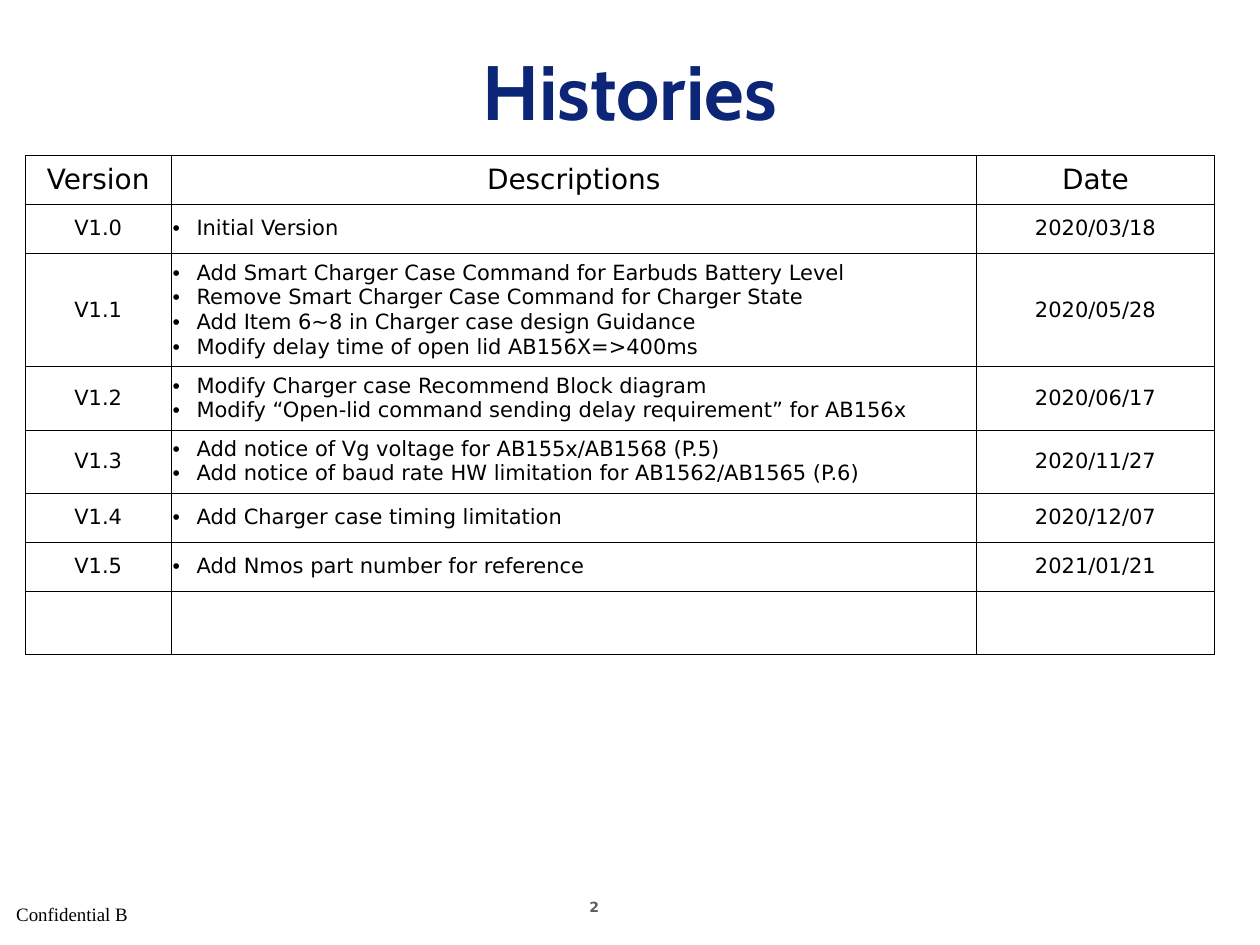
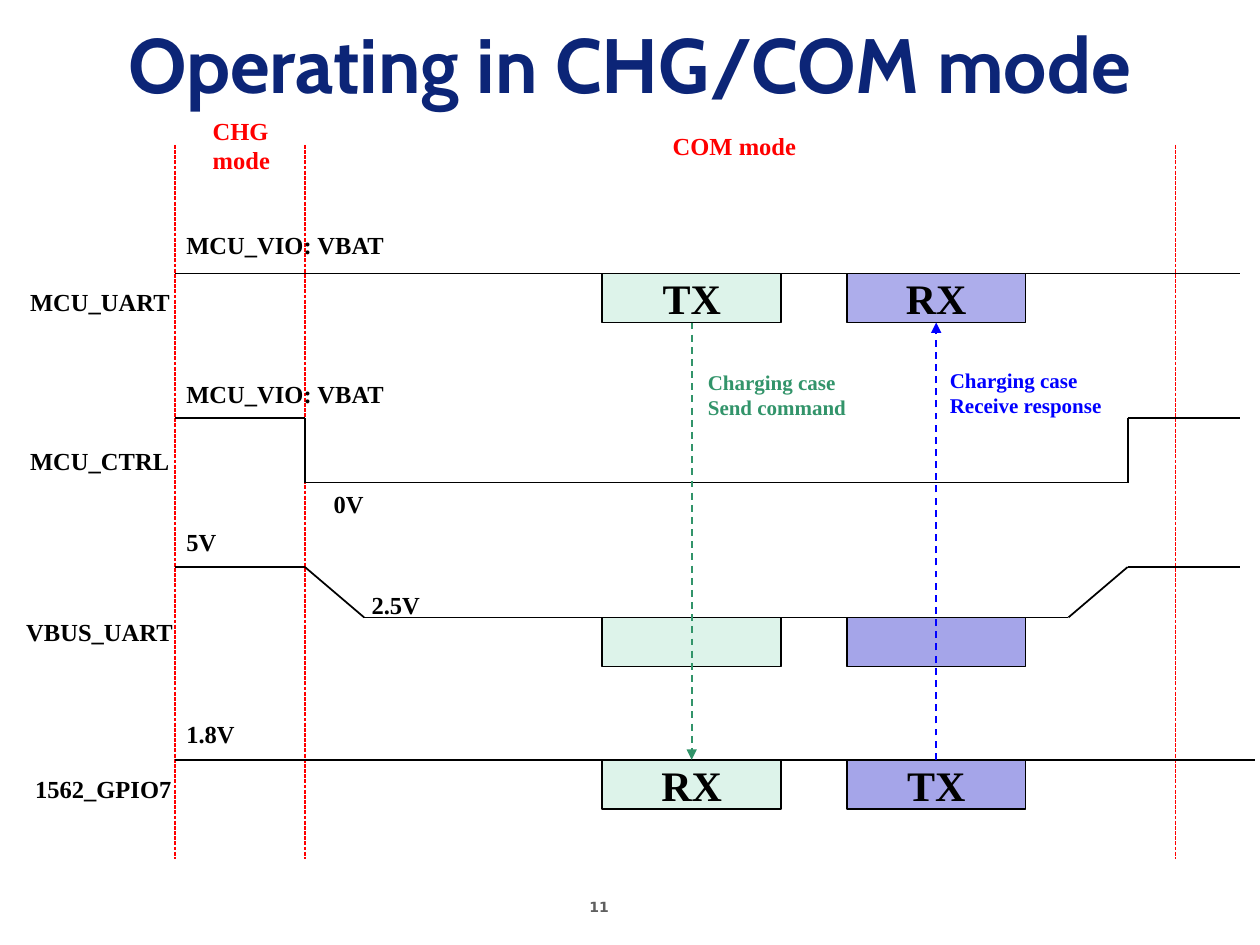
from dataclasses import dataclass
from itertools import pairwise

from lxml.etree import SubElement
from pptx import Presentation
from pptx.dml.color import RGBColor
from pptx.enum.dml import MSO_LINE
from pptx.enum.shapes import MSO_CONNECTOR as CONNECTOR, MSO_SHAPE as SHAPE
from pptx.enum.text import MSO_ANCHOR as ANCHOR, MSO_AUTO_SIZE as AUTO_SIZE, PP_ALIGN as ALIGN
from pptx.oxml.ns import qn
from pptx.util import Inches, Pt


@dataclass(frozen=True)
class Theme:
    # Fonts
    title_font: str = "Cabin"
    table_font: str = "DejaVu Sans"
    diagram_font: str = "Times New Roman"
    # Colours
    navy: str = "0C2577"
    black: str = "000000"
    gray: str = "5F5F5F"
    red: str = "FF0000"
    green: str = "32946A"
    blue: str = "0000FF"
    mint: str = "DDF3EA"
    lilac: str = "A5A5E9"
    pale_lilac: str = "ADADEB"
    # Type sizes
    title_size: float = 44
    signal_size: float = 24
    header_size: float = 16
    label_size: float = 14
    body_size: float = 12
    footer_size: float = 10.8
    number_size: float = 8
    # Line widths
    trace_width: float = 1
    mode_width: float = 0.75
    border_width: float = 0.23


class Deck:
    """Holds the style and the current slide."""

    def __init__(self, theme):
        self.theme = theme
        self.presentation = Presentation()
        self.presentation.slide_width = Inches(10)
        self.presentation.slide_height = Inches(7.5)
        self.slide = None

    def start_slide(self, heading, top, number):
        """Add a slide with its title and page number."""
        theme = self.theme
        self.slide = self.presentation.slides.add_slide(self.presentation.slide_layouts[5])
        title = self.slide.shapes.title
        title.left, title.top, title.width, title.height = map(Inches, (0, top, 10, 1))
        frame = title.text_frame
        frame.word_wrap = True
        frame.auto_size = AUTO_SIZE.NONE
        frame.vertical_anchor = ANCHOR.MIDDLE
        self.set_text(frame, heading, theme.title_size, theme.navy, theme.title_font,
                      bold=True, align=ALIGN.CENTER)
        self.label(number, 4.58, 7.08, 0.77, 0.26, theme.number_size, theme.gray,
                   font=theme.table_font)

    def set_text(self, frame, text, size, color, font, bold=False, align=ALIGN.LEFT,
                 bulleted=False):
        frame.text = text
        for paragraph in frame.paragraphs:
            paragraph.alignment = align
            if bulleted:
                self.bullet(paragraph)
            for run in paragraph.runs:
                run.font.name = font
                run.font.size = Pt(size)
                run.font.bold = bold
                run.font.color.rgb = RGBColor.from_string(color)

    def bullet(self, paragraph):
        properties = paragraph._p.get_or_add_pPr()
        properties.set("marL", str(Inches(0.19)))
        properties.set("indent", str(Inches(-0.19)))
        bullet_color = SubElement(properties, qn("a:buClr"))
        SubElement(bullet_color, qn("a:srgbClr"), val=self.theme.black)
        SubElement(properties, qn("a:buFont"), typeface="Arial")
        SubElement(properties, qn("a:buChar"), char="•")

    def label(self, text, left, top, width, height=0.34, size=None, color=None,
              font=None, bold=True):
        theme = self.theme
        box = self.slide.shapes.add_textbox(*map(Inches, (left, top, width, height)))
        box.text_frame.word_wrap = True
        self.set_text(box.text_frame, text, size or theme.label_size, color or theme.black,
                      font or theme.diagram_font, bold)
        return box

    def signal_box(self, text, left, top, fill):
        theme = self.theme
        box = self.slide.shapes.add_shape(
            SHAPE.RECTANGLE, *map(Inches, (left, top, 1.42, 0.39)))
        box.shadow.inherit = False
        box.fill.solid()
        box.fill.fore_color.rgb = RGBColor.from_string(fill)
        box.line.color.rgb = RGBColor.from_string(theme.black)
        box.line.width = Pt(theme.trace_width)
        box.text_frame.vertical_anchor = ANCHOR.MIDDLE
        if text:
            self.set_text(box.text_frame, text, theme.signal_size, theme.black,
                          theme.diagram_font, bold=True, align=ALIGN.CENTER)
        return box

    def line(self, start, end, color, width, dash=None):
        connector = self.slide.shapes.add_connector(
            CONNECTOR.STRAIGHT, *map(Inches, (*start, *end)))
        connector.line.color.rgb = RGBColor.from_string(color)
        connector.line.width = Pt(width)
        if dash:
            connector.line.dash_style = dash
        SubElement(connector._element.spPr, qn("a:effectLst"))
        return connector

    def trace(self, *points):
        for start, end in pairwise(points):
            self.line(start, end, self.theme.black, self.theme.trace_width)

    def arrow(self, source, source_side, target, target_side, color):
        """Dashed arrow glued to two boxes."""
        connector = self.line((0, 0), (1, 1), color, self.theme.trace_width, MSO_LINE.DASH)
        connector.begin_connect(source, source_side)
        connector.end_connect(target, target_side)
        SubElement(connector.line._get_or_add_ln(), qn("a:tailEnd"), type="triangle")

    def border(self, cell):
        properties = cell._tc.get_or_add_tcPr()
        for side in ("lnL", "lnR", "lnT", "lnB"):
            edge = SubElement(properties, qn(f"a:{side}"), w=str(Pt(self.theme.border_width)))
            fill = SubElement(edge, qn("a:solidFill"))
            SubElement(fill, qn("a:srgbClr"), val=self.theme.black)

    def table(self, rows, left, top, widths, heights):
        theme = self.theme
        frame = self.slide.shapes.add_table(
            len(rows), len(widths), *map(Inches, (left, top, sum(widths), sum(heights))))
        table = frame.table
        table.first_row = table.horz_banding = False
        for column, width in zip(table.columns, widths):
            column.width = Inches(width)
        for row, height in zip(table.rows, heights):
            row.height = Inches(height)
        for r, texts in enumerate(rows):
            for c, text in enumerate(texts):
                cell = table.cell(r, c)
                self.border(cell)
                cell.fill.background()
                cell.vertical_anchor = ANCHOR.MIDDLE
                cell.margin_left = cell.margin_right = Inches(0.01)
                bulleted = r > 0 and c == 1 and bool(text)
                self.set_text(cell.text_frame, text,
                              theme.body_size if r else theme.header_size,
                              theme.black, theme.table_font,
                              align=ALIGN.LEFT if bulleted else ALIGN.CENTER,
                              bulleted=bulleted)


HISTORY = [
    ("Version", "Descriptions", "Date"),
    ("V1.0", "Initial Version", "2020/03/18"),
    ("V1.1",
     "Add Smart Charger Case Command for Earbuds Battery Level\n"
     "Remove Smart Charger Case Command for Charger State\n"
     "Add Item 6~8 in Charger case design Guidance\n"
     "Modify delay time of open lid AB156X=>400ms", "2020/05/28"),
    ("V1.2",
     "Modify Charger case Recommend Block diagram\n"
     "Modify “Open-lid command sending delay requirement” for AB156x", "2020/06/17"),
    ("V1.3",
     "Add notice of Vg voltage for AB155x/AB1568 (P.5)\n"
     "Add notice of baud rate HW limitation for AB1562/AB1565 (P.6)", "2020/11/27"),
    ("V1.4", "Add Charger case timing limitation", "2020/12/07"),
    ("V1.5", "Add Nmos part number for reference", "2021/01/21"),
    ("", "", ""),
]


def build_histories(deck):
    theme = deck.theme
    deck.start_slide("Histories", 0.21, "2")
    confidential = deck.label("Confidential B", 0.03, 7.15, 3.32, 0.3,
                              theme.footer_size, bold=False)
    confidential.text_frame.paragraphs[0].line_spacing = 0.8
    deck.table(HISTORY, 0.2, 1.23, (1.16, 6.39, 1.89),
               (0.39, 0.39, 0.9, 0.5, 0.5, 0.39, 0.39, 0.5))


def build_modes(deck):
    theme = deck.theme
    deck.start_slide("Operating in CHG/COM mode", 0, "11")

    # Time marks and signal levels
    chg_start, com_start, com_end, right = 1.39, 2.42, 8.95, 9.84
    uart, ctrl_high, ctrl_low = 2.17, 3.32, 3.83
    vbus_high, vbus_low, gpio = 4.5, 4.9, 6.03
    case_sends, case_receives, box_width, ramp = 4.78, 6.72, 1.42, 0.47

    # Mode boundaries
    for x in (chg_start, com_start, 9.33):
        deck.line((x, 1.15), (x, 6.82), theme.red, theme.mode_width, MSO_LINE.SQUARE_DOT)

    # Waveforms
    deck.trace((chg_start, uart), (right, uart))
    deck.trace((chg_start, ctrl_high), (com_start, ctrl_high), (com_start, ctrl_low),
               (com_end, ctrl_low), (com_end, ctrl_high), (right, ctrl_high))
    deck.trace((chg_start, vbus_high), (com_start, vbus_high), (com_start + ramp, vbus_low),
               (com_end - ramp, vbus_low), (com_end, vbus_high), (right, vbus_high))
    deck.trace((chg_start, gpio), (case_sends, gpio))
    deck.trace((case_sends + box_width, gpio), (9.96, gpio))

    # Data bursts
    case_tx = deck.signal_box("TX", case_sends, uart, theme.mint)
    case_rx = deck.signal_box("RX", case_receives, uart, theme.pale_lilac)
    deck.signal_box("", case_sends, vbus_low, theme.mint)
    deck.signal_box("", case_receives, vbus_low, theme.lilac)
    earbud_rx = deck.signal_box("RX", case_sends, gpio, theme.mint)
    earbud_tx = deck.signal_box("TX", case_receives, gpio, theme.lilac)

    # Signal names and voltages
    for text, left, top, width in (
        ("MCU_UART", 0.14, 2.23, 1.35),
        ("MCU_CTRL", 0.14, 3.49, 1.35),
        ("VBUS_UART", 0.11, 4.85, 1.42),
        ("1562_GPIO7", 0.18, 6.09, 1.32),
        ("MCU_VIO: VBAT", 1.38, 1.78, 1.82),
        ("MCU_VIO: VBAT", 1.38, 2.96, 1.82),
        ("0V", 2.55, 3.83, 0.48),
        ("5V", 1.38, 4.13, 0.48),
        ("2.5V", 2.85, 4.63, 0.62),
        ("1.8V", 1.38, 5.66, 0.62),
    ):
        deck.label(text, left, top, width)

    # Mode names
    deck.label("COM mode", 5.24, 0.99, 1.22, color=theme.red)
    deck.label("CHG\nmode", 1.59, 0.87, 0.73, 0.57, color=theme.red)

    # Command and response
    deck.arrow(case_tx, 2, earbud_rx, 0, theme.green)
    deck.arrow(earbud_tx, 0, case_rx, 2, theme.blue)
    deck.label("Charging case\nSend command", 5.52, 2.88, 1.33, 0.5,
               theme.body_size, theme.green)
    deck.label("Charging case\nReceive response", 7.44, 2.87, 1.45, 0.5,
               theme.body_size, theme.blue)


def main():
    deck = Deck(Theme())
    build_histories(deck)
    build_modes(deck)
    deck.presentation.save("out.pptx")


if __name__ == "__main__":
    main()
